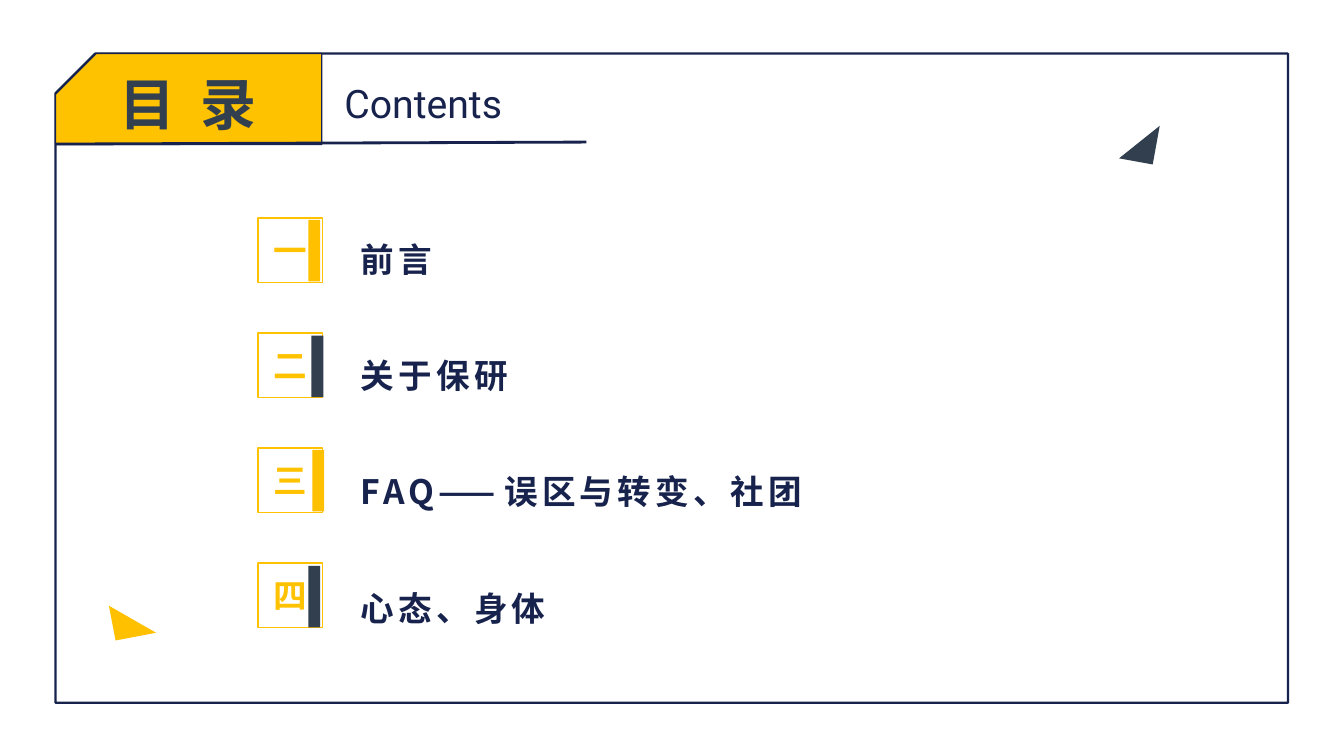
import pptx
import pptx.dml.color
import pptx.enum.shapes
import pptx.enum.text
import pptx.oxml.ns
import pptx.util
from lxml import etree

Cm = pptx.util.Cm
Pt = pptx.util.Pt
SHAPES = pptx.enum.shapes.MSO_SHAPE
ALIGN = pptx.enum.text.PP_ALIGN
ANCHOR = pptx.enum.text.MSO_ANCHOR
COLORS = {"navy": "17234D", "gold": "FFC200", "amber": "FFC000", "slate": "323F4F"}
CJK_FONT = "Noto Sans CJK SC"
CHAPTERS = [
    ("一", "前言", "amber", 1.27, 0.05),
    ("二", "关于保研", "slate", 1.35, 0.07),
    ("三", "FAQ——误区与转变、社团", "amber", 1.37, 0.05),
    ("四", "心态、身体", "slate", 1.27, 0.07),
]


def color(name):
    """Return the named colour of the palette."""
    return pptx.dml.color.RGBColor.from_string(COLORS[name])


def place(shape, box):
    """Move a shape to a box given in centimetres."""
    shape.left, shape.top, shape.width, shape.height = map(Cm, box)


def add_figure(shapes, kind, box, fill=None, line=None, weight=1):
    """Add a preset shape with an optional fill and outline."""
    shape = shapes.add_shape(kind, *map(Cm, box))
    shape.shadow.inherit = False
    if fill:
        shape.fill.solid()
        shape.fill.fore_color.rgb = color(fill)
    else:
        shape.fill.background()
    if line:
        shape.line.color.rgb = color(line)
        shape.line.width = Pt(weight)
    else:
        shape.line.fill.background()
    return shape


def style_text(para, size, tone, font=CJK_FONT, bold=True, spacing=0):
    """Format every run of a paragraph."""
    for span in para.runs:
        span.font.size = Pt(size)
        span.font.bold = bold
        span.font.name = font
        span.font.color.rgb = color(tone)
        properties = span.font._element
        east_asian = etree.SubElement(properties, pptx.oxml.ns.qn("a:ea"))
        east_asian.set("typeface", font)
        if spacing:
            properties.set("spc", str(int(spacing * 100)))


def add_frame(page, box):
    """Draw the outer frame and the gold tab in its top left corner."""
    left, top, width, height = box
    parts = [
        ((left, top, width, height), None, 1.5, 0.061),
        ((left, top, 6.71, 2.29), "gold", 1, 0.448),
    ]
    for part_box, fill, weight, snip in parts:
        shape = add_figure(page.shapes, SHAPES.SNIP_1_RECTANGLE, part_box, fill, "navy", weight)
        shape.adjustments[0] = snip
        shape._element.spPr.xfrm.set("flipH", "1")


def add_heading(page, box):
    """Set the title, its English subtitle and the rule below them."""
    left, top, width, height = box
    ends = (left, top + height, left + width, top + height - 0.05)
    rule = page.shapes.add_connector(pptx.enum.shapes.MSO_CONNECTOR.STRAIGHT, *map(Cm, ends))
    rule.line.color.rgb = color("navy")
    rule.line.width = Pt(2)
    etree.SubElement(rule._element.spPr, pptx.oxml.ns.qn("a:effectLst"))

    title = page.shapes.title
    place(title, (left + 1.04, top + 0.28, 4.62, 1.96))
    page.shapes._spTree.append(title._element)
    title.text_frame.text = "目 录"
    title.text_frame.auto_size = pptx.enum.text.MSO_AUTO_SIZE.NONE
    title.text_frame.vertical_anchor = ANCHOR.MIDDLE
    para = title.text_frame.paragraphs[0]
    para.alignment = ALIGN.CENTER
    style_text(para, 40, "slate", spacing=4.5)

    subtitle = page.shapes.add_textbox(*map(Cm, (left + 7.03, top + 0.53, 5.82, 1.45)))
    subtitle.text_frame.word_wrap = True
    subtitle.text_frame.text = "Contents"
    style_text(subtitle.text_frame.paragraphs[0], 28, "navy", "Roboto", False)


def add_chapters(page, box):
    """List the chapters, each beside its numbered badge."""
    left, top, width, height = box
    side, pitch = 1.63, 2.9
    body = page.placeholders[1]
    place(body, (left + 2.34, top + 0.15, width - 2.34, height))
    frame = body.text_frame
    frame.text = "\n".join(chapter[1] for chapter in CHAPTERS)
    frame.auto_size = pptx.enum.text.MSO_AUTO_SIZE.NONE
    frame.vertical_anchor = ANCHOR.TOP
    for para in frame.paragraphs:
        para.line_spacing = Pt(36)
        para.space_before = Pt(0)
        para.space_after = Pt(47)
        properties = para._p.get_or_add_pPr()
        properties.set("marL", "0")
        properties.set("indent", "0")
        etree.SubElement(properties, pptx.oxml.ns.qn("a:buNone"))
        style_text(para, 24, "navy", spacing=3)

    for index, (number, _, tone, bar_x, bar_y) in enumerate(CHAPTERS):
        row_top = top + index * pitch
        group = page.shapes.add_group_shape()
        badge = add_figure(group.shapes, SHAPES.RECTANGLE, (left, row_top, side, side), line="gold")
        badge.text_frame.text = number
        badge.text_frame.vertical_anchor = ANCHOR.MIDDLE
        para = badge.text_frame.paragraphs[0]
        para.alignment = ALIGN.CENTER
        style_text(para, 24, "gold")
        bar_box = (left + bar_x, row_top + bar_y, 0.3, 1.55)
        add_figure(group.shapes, SHAPES.RECTANGLE, bar_box, tone)


def add_triangle(page, box, tone, angle):
    """Draw one tilted decorative triangle."""
    shape = add_figure(page.shapes, SHAPES.ISOSCELES_TRIANGLE, box, tone)
    shape.adjustments[0] = 0
    shape.rotation = angle


def main():
    """Build the contents slide and save the deck."""
    deck = pptx.Presentation()
    deck.slide_width, deck.slide_height = Cm(33.87), Cm(19.05)
    page = deck.slides.add_slide(deck.slide_layouts[1])
    add_frame(page, (1.4, 1.35, 31.06, 16.36))
    add_heading(page, (1.4, 1.35, 13.38, 2.28))
    add_triangle(page, (2.82, 15.16, 1.04, 0.89), "amber", 349.2)
    add_triangle(page, (28.22, 3.15, 0.99, 0.86), "slate", 280.3)
    add_chapters(page, (6.5, 5.49, 17.3, 11.5))
    deck.save("out.pptx")


if __name__ == "__main__":
    main()
